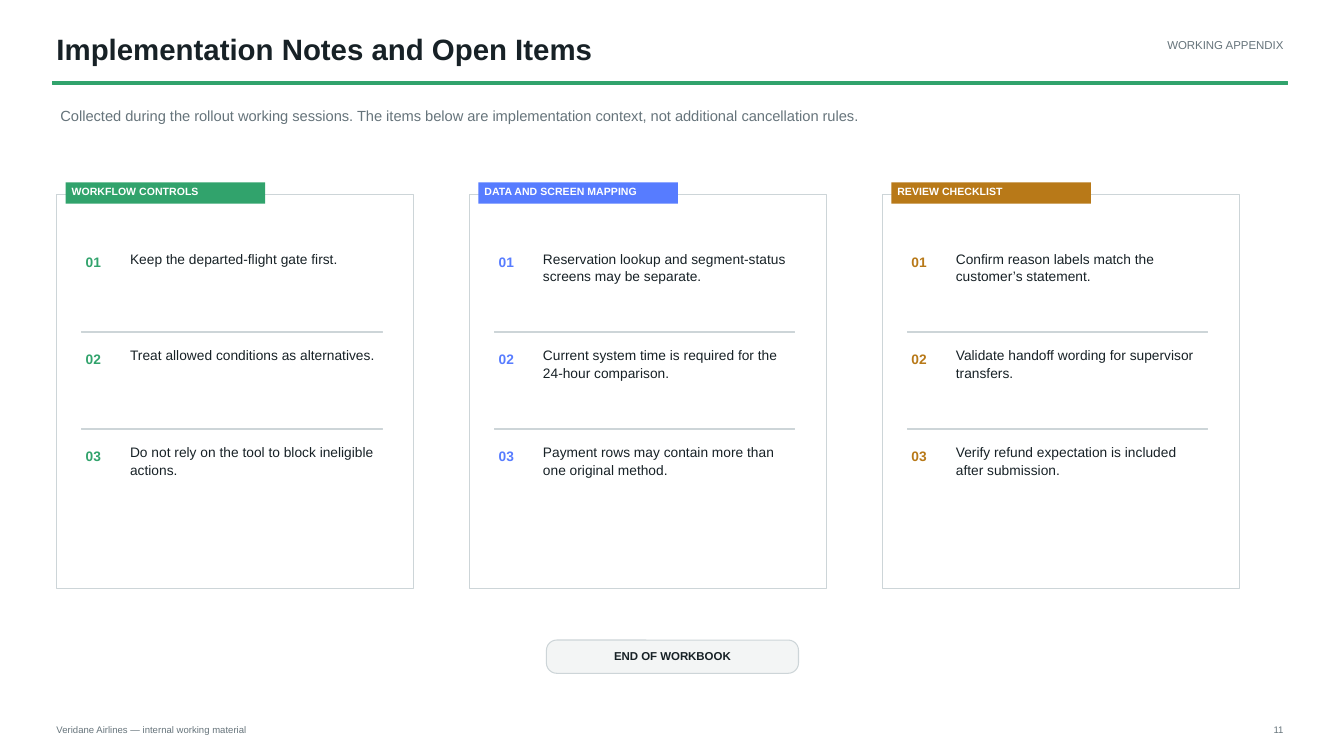
from pptx import Presentation
from pptx.dml.color import RGBColor
from pptx.enum.shapes import MSO_SHAPE
from pptx.enum.text import MSO_ANCHOR, MSO_AUTO_SIZE, PP_ALIGN
from pptx.util import Inches, Pt

RECTANGLE, ROUNDED = MSO_SHAPE.RECTANGLE, MSO_SHAPE.ROUNDED_RECTANGLE
LEFT, CENTER, RIGHT = PP_ALIGN.LEFT, PP_ALIGN.CENTER, PP_ALIGN.RIGHT
TOP, MIDDLE = MSO_ANCHOR.TOP, MSO_ANCHOR.MIDDLE
NO_AUTOFIT = MSO_AUTO_SIZE.NONE

INK = RGBColor(0x17, 0x21, 0x26)
MUTED = RGBColor(0x66, 0x74, 0x7B)
BORDER = RGBColor(0xCD, 0xD5, 0xD8)
PALE = RGBColor(0xF3, 0xF5, 0xF5)
WHITE = RGBColor(0xFF, 0xFF, 0xFF)
GREEN = RGBColor(0x31, 0xA3, 0x6C)
BLUE = RGBColor(0x57, 0x7C, 0xFF)
AMBER = RGBColor(0xB8, 0x79, 0x18)

FONT = "Arial"
TEXT_INSETS = (0.04, 0.02, 0.04, 0.02)
TAG_INSETS = (0.06, 0.03, 0.06, 0.02)
BUTTON_INSETS = (0.06, 0.03, 0.06, 0.03)

CARDS = [
    ("WORKFLOW CONTROLS", GREEN, [
        "Keep the departed-flight gate first.",
        "Treat allowed conditions as alternatives.",
        "Do not rely on the tool to block ineligible actions."]),
    ("DATA AND SCREEN MAPPING", BLUE, [
        "Reservation lookup and segment-status screens may be separate.",
        "Current system time is required for the 24-hour comparison.",
        "Payment rows may contain more than one original method."]),
    ("REVIEW CHECKLIST", AMBER, [
        "Confirm reason labels match the customer’s statement.",
        "Validate handoff wording for supervisor transfers.",
        "Verify refund expectation is included after submission."]),
]
CARD_TOP, CARD_WIDTH, CARD_HEIGHT = 1.93, 3.54, 3.91
FIRST_CARD_LEFT, LAST_CARD_LEFT = 0.56, 8.75
ROW_PITCH = 0.96


def write(shape, text, size, color, bold=False, align=LEFT, anchor=TOP,
          insets=TEXT_INSETS, spacing=None):
    """Put one formatted paragraph into a shape."""
    frame = shape.text_frame
    frame.text = text
    frame.word_wrap = True
    frame.auto_size = NO_AUTOFIT
    frame.vertical_anchor = anchor
    (frame.margin_left, frame.margin_top,
     frame.margin_right, frame.margin_bottom) = map(Inches, insets)
    para = frame.paragraphs[0]
    para.alignment = align
    para.line_spacing = spacing
    font = para.runs[0].font
    font.name, font.size, font.bold = FONT, Pt(size), bold
    font.color.rgb = color


def add_text(page, box, text, size, color, **style):
    shape = page.shapes.add_textbox(*map(Inches, box))
    write(shape, text, size, color, **style)


def add_block(page, box, fill=None, line=None, weight=0, kind=RECTANGLE):
    shape = page.shapes.add_shape(kind, *map(Inches, box))
    shape.shadow.inherit = False
    if fill is None:
        shape.fill.background()
    else:
        shape.fill.solid()
        shape.fill.fore_color.rgb = fill
    if line is None:
        shape.line.fill.background()
    else:
        shape.line.color.rgb = line
        shape.line.width = Pt(weight)
    return shape


def add_header(page, left, top, width):
    title = page.shapes.title
    title.left, title.top = Inches(left), Inches(top)
    title.width, title.height = Inches(8.85), Inches(0.44)
    write(title, "Implementation Notes and Open Items", 21, INK, bold=True)
    add_text(page, (left + width - 3.38, top + 0.07, 3.38, 0.31),
             "WORKING APPENDIX", 8.2, MUTED, align=RIGHT)
    add_block(page, (left, top + 0.52, width, 0.03), GREEN, GREEN)
    add_text(page, (left + 0.04, top + 0.75, 11.67, 0.44),
             "Collected during the rollout working sessions. The items below are "
             "implementation context, not additional cancellation rules.",
             10.5, MUTED)


def add_card(page, left, top, width, height, heading, accent, items):
    add_block(page, (left, top, width, height), line=BORDER, weight=0.75)
    # Tag straddling the top border
    tag = add_block(page, (left + 0.09, top - 0.12, 1.98, 0.21), accent)
    write(tag, heading, 7.5, WHITE, bold=True, insets=TAG_INSETS)
    # Numbered items with rules between them
    inner = left + 0.25
    for index, item in enumerate(items):
        row_top = top + 0.52 + index * ROW_PITCH
        if index:
            add_block(page, (inner, row_top - 0.12, 2.98, 0.01), BORDER, BORDER)
        add_text(page, (inner, row_top + 0.05, 0.35, 0.29),
                 f"{index + 1:02}", 9.8, accent, bold=True)
        add_text(page, (inner + 0.44, row_top, 2.55, 0.69),
                 item, 9.8, INK, spacing=1.08)


def add_end_button(page, box):
    button = add_block(page, box, PALE, BORDER, 0.75, ROUNDED)
    button.adjustments[0] = 0.31
    write(button, "END OF WORKBOOK", 8.2, INK, bold=True, align=CENTER,
          anchor=MIDDLE, insets=BUTTON_INSETS, spacing=0.96)


def add_footer(page, left, top, width):
    add_text(page, (left, top, 3.12, 0.19),
             "Veridane Airlines — internal working material", 6.8, MUTED)
    add_text(page, (left + width - 0.52, top, 0.52, 0.19),
             "11", 6.8, MUTED, align=RIGHT)


def main():
    deck = Presentation()
    deck.slide_width, deck.slide_height = Inches(13.33), Inches(7.5)
    page = deck.slides.add_slide(deck.slide_layouts[5])
    page.background.fill.solid()
    page.background.fill.fore_color.rgb = WHITE

    add_header(page, 0.52, 0.29, 12.25)
    card_pitch = (LAST_CARD_LEFT - FIRST_CARD_LEFT) / (len(CARDS) - 1)
    for index, card in enumerate(CARDS):
        add_card(page, FIRST_CARD_LEFT + index * card_pitch, CARD_TOP,
                 CARD_WIDTH, CARD_HEIGHT, *card)
    add_end_button(page, (5.42, 6.35, 2.5, 0.33))
    add_footer(page, 0.52, 7.16, 12.25)
    deck.save("out.pptx")


if __name__ == "__main__":
    main()
